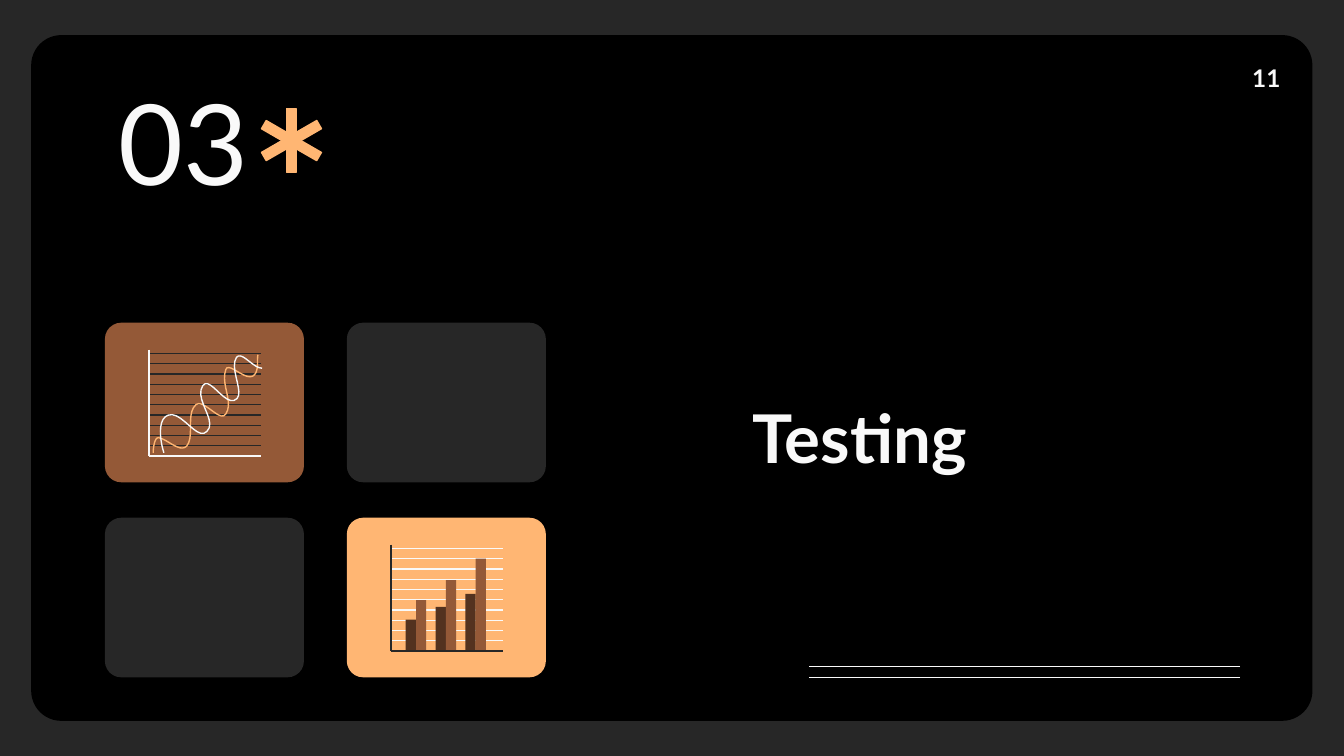
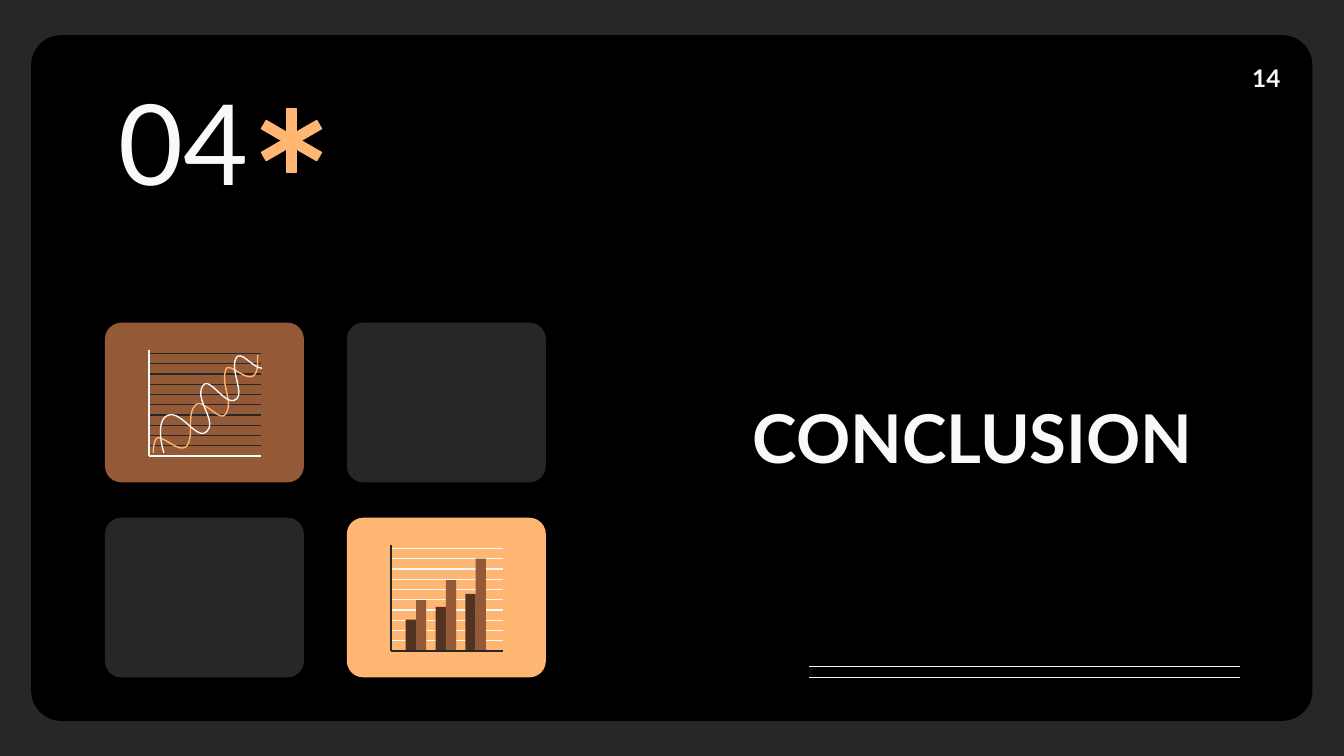
from lxml import etree
from pptx import Presentation
from pptx.dml.color import RGBColor
from pptx.enum.shapes import MSO_CONNECTOR, MSO_SHAPE
from pptx.enum.text import MSO_ANCHOR, MSO_AUTO_SIZE, PP_ALIGN
from pptx.oxml.ns import qn
from pptx.util import Pt

RECT, ROUND = MSO_SHAPE.RECTANGLE, MSO_SHAPE.ROUNDED_RECTANGLE
STRAIGHT = MSO_CONNECTOR.STRAIGHT
TOP, MIDDLE, BOTTOM = MSO_ANCHOR.TOP, MSO_ANCHOR.MIDDLE, MSO_ANCHOR.BOTTOM
LEFT, NO_FIT = PP_ALIGN.LEFT, MSO_AUTO_SIZE.NONE

FONT = "Lato"
COLORS = {"dark": "272727", "panel": "000000", "light": "F9F9F9",
          "orange": "FFB673", "brown": "945937", "coffee": "53321F"}
LINE_WIDTH = 0.75

# Card grid
CARD_X, CARD_Y = (56.2, 185.8), (172.9, 277.4)
CARD_W, CARD_H = 106.6, 85.5

# Small graphs, measured from the corner of their card
AXIS_X, AXIS_TOP, AXIS_Y, AXIS_END = 23.6, 14.4, 71.4, 83.5
GRID_STEP, GRID_LINES = 5.49, 10
BAR_X, BAR_W, BAR_PITCH = 31.6, 5.5, 16
BAR_PAIRS = [(16.8, 27.2), (23.7, 38), (30.6, 49.5)]

# Curves: a start point, then two control points and an end for each segment
ORANGE_WAVE = [
    (82.1, 242.6),
    (82.1, 239.8), (82.8, 233.3), (85.7, 234.7),
    (90.7, 236.2), (96.5, 242.6), (100.1, 239),
    (104.4, 233.3), (99.4, 221.8), (105.1, 216.7),
    (109.4, 213.8), (118.1, 226.8), (121, 221.8),
    (125.3, 215.3), (118.1, 205.9), (121, 198),
    (122.4, 193.7), (131, 203.8), (135.4, 201.6),
    (139, 199.4), (137.5, 193.7), (138.2, 190.1)]
LIGHT_WAVE = [
    (140.4, 197.3),
    (135.4, 197.3), (129.6, 187.9), (126.7, 191.5),
    (122.4, 198), (132.5, 212.4), (125.3, 214.6),
    (119.5, 216), (112.3, 201.6), (108.7, 206.6),
    (103.7, 213.8), (116.6, 225.4), (110.9, 231.1),
    (105.8, 236.9), (97.2, 219.6), (90, 222.5),
    (84.2, 224.6), (85.7, 236.2), (87.8, 242.6)]
CURVE_STEPS = 10

SECTIONS = [("03", "Testing", "11", 170.6), ("04", "CONCLUSION", "14", 172.8)]


def rgb(name):
    return RGBColor.from_string(COLORS[name])


def set_line(sp, color):
    sp.line.color.rgb = rgb(color)
    sp.line.width = Pt(LINE_WIDTH)


def add_block(shapes, kind, box, color, radius=None):
    sp = shapes.add_shape(kind, *map(Pt, box))
    sp.shadow.inherit = False
    sp.fill.solid()
    sp.fill.fore_color.rgb = rgb(color)
    sp.line.fill.background()
    if radius is not None:
        sp.adjustments[0] = radius
    return sp


def add_line(shapes, x1, y1, x2, y2, color):
    line = shapes.add_connector(STRAIGHT, *map(Pt, (x1, y1, x2, y2)))
    set_line(line, color)
    etree.SubElement(line.element.spPr, qn("a:effectLst"))


def bezier(points):
    """Return points along the joined cubic curves."""
    result = []
    for i in range(0, len(points) - 1, 3):
        for step in range(1, CURVE_STEPS + 1):
            t = step / CURVE_STEPS
            u = 1 - t
            weights = (u ** 3, 3 * u * u * t, 3 * u * t * t, t ** 3)
            result.append(tuple(Pt(sum(w * c for w, c in zip(weights, axis)))
                                for axis in zip(*points[i:i + 4])))
    return result


def add_curve(shapes, points, color):
    builder = shapes.build_freeform(*map(Pt, points[0]))
    builder.add_line_segments(bezier(points), close=False)
    sp = builder.convert_to_shape()
    sp.shadow.inherit = False
    sp.fill.background()
    set_line(sp, color)


def set_text(sp, text, box, size, anchor, bold=True):
    sp.left, sp.top, sp.width, sp.height = map(Pt, box)
    tf = sp.text_frame
    tf.word_wrap, tf.auto_size, tf.vertical_anchor = True, NO_FIT, anchor
    tf.margin_left = tf.margin_right = tf.margin_top = tf.margin_bottom = Pt(7.2)
    p = tf.paragraphs[0]
    p.alignment, p.space_before = LEFT, Pt(0)
    r = p.add_run()
    r.text = text
    r.font.name, r.font.size, r.font.bold = FONT, Pt(size), bold
    r.font.color.rgb = rgb("light")


def add_card(shapes, col, row, color):
    x, y = CARD_X[col], CARD_Y[row]
    add_block(shapes, ROUND, (x, y, CARD_W, CARD_H), color, 0.102)
    return x, y


def add_grid(shapes, x, y, color):
    for i in range(1, GRID_LINES + 1):
        line_y = y + AXIS_Y - i * GRID_STEP
        add_line(shapes, x + AXIS_X, line_y, x + AXIS_END, line_y, color)


def add_axes(shapes, x, y, color):
    left, base = x + AXIS_X, y + AXIS_Y
    add_line(shapes, left, base, x + AXIS_END, base, color)
    add_line(shapes, left, y + AXIS_TOP, left, base, color)


def add_bar_card(s):
    shapes = s.shapes.add_group_shape().shapes
    x, y = add_card(shapes, 1, 1, "orange")
    add_grid(shapes, x, y, "light")
    for i, pair in enumerate(BAR_PAIRS):
        for j, (height, color) in enumerate(zip(pair, ("coffee", "brown"))):
            left = x + BAR_X + i * BAR_PITCH + j * BAR_W
            add_block(shapes, RECT, (left, y + AXIS_Y - height, BAR_W, height), color)
    add_axes(shapes, x, y, "dark")


def add_wave_card(s):
    shapes = s.shapes.add_group_shape().shapes
    x, y = add_card(shapes, 0, 0, "brown")
    add_grid(shapes, x, y, "dark")
    add_axes(shapes, x, y, "light")
    add_curve(shapes, ORANGE_WAVE, "orange")
    add_curve(shapes, LIGHT_WAVE, "light")


def add_asterisk(s):
    shapes = s.shapes.add_group_shape().shapes
    for angle in (0, 300, 60):
        sp = add_block(shapes, RECT, (153.6, 58.2, 5.1, 34.2), "orange")
        set_line(sp, "orange")
        sp.rotation = angle


def add_double_rule(s):
    shapes = s.shapes.add_group_shape().shapes
    for y in (357.2, 362.9):
        add_line(shapes, 664.4, y, 433.4, y, "light")


def add_section(prs, number, title, page, title_top):
    s = prs.slides.add_slide(prs.slide_layouts[0])
    set_text(s.shapes.title, title, (396, title_top, 282.2, 262.8 - title_top), 36, BOTTOM)
    set_text(s.placeholders[1], number, (56.2, 42.5, 231.1, 66.2), 60, MIDDLE, bold=False)
    page_box = (663.8, 26.6, 43.2, 31)
    set_text(s.shapes.add_textbox(*map(Pt, page_box)), page, page_box, 13, TOP)
    add_asterisk(s)
    add_double_rule(s)
    add_card(s.shapes, 1, 0, "dark")
    add_card(s.shapes, 0, 1, "dark")
    add_bar_card(s)
    add_wave_card(s)
    return s


def style_master(prs, s):
    """Set the shared background and move a panel from slide s to the master."""
    fill = prs.slide_master.background.fill
    fill.solid()
    fill.fore_color.rgb = rgb("dark")
    panel = add_block(s.shapes, ROUND, (16.7, 18.8, 686.4, 367.4), "panel", 0.044)
    prs.slide_master.shapes.element.insert(2, panel.element)


def main():
    prs = Presentation()
    prs.slide_width, prs.slide_height = Pt(720), Pt(405)
    slides = [add_section(prs, *section) for section in SECTIONS]
    style_master(prs, slides[0])
    prs.save("out.pptx")


if __name__ == "__main__":
    main()
